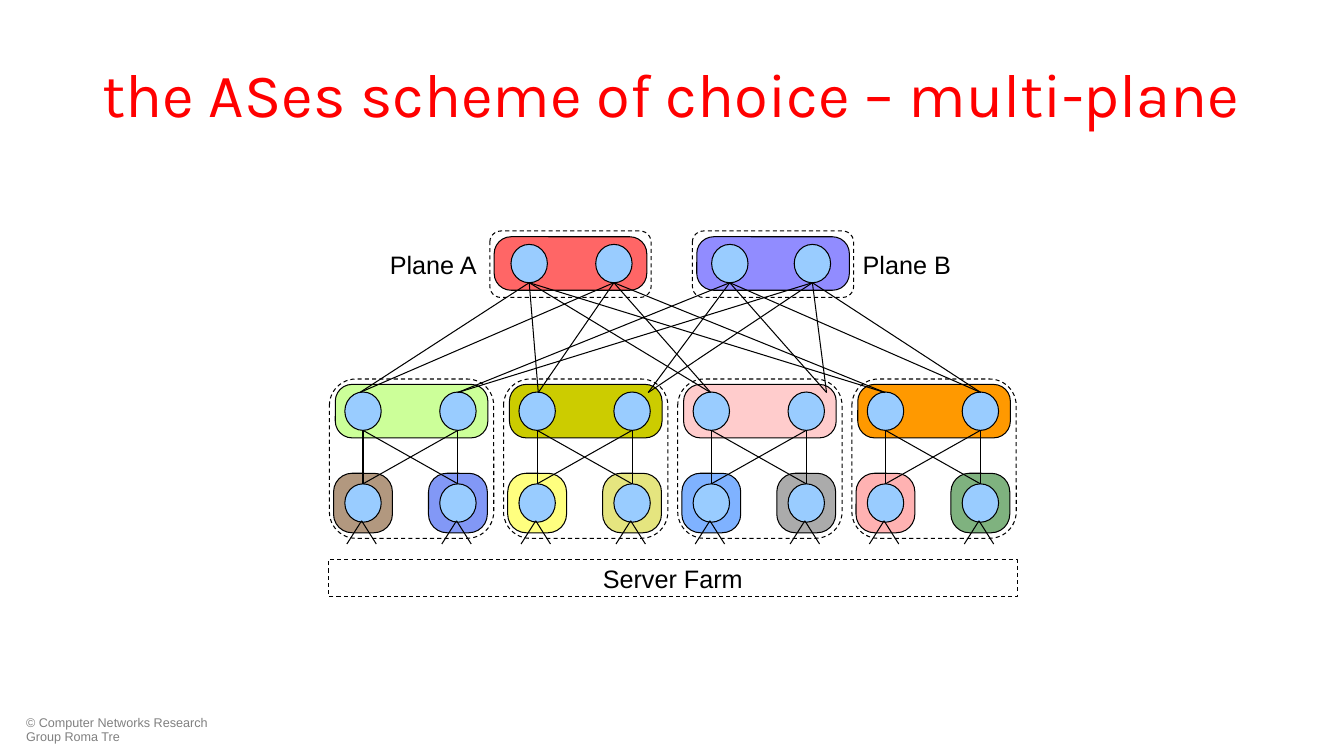
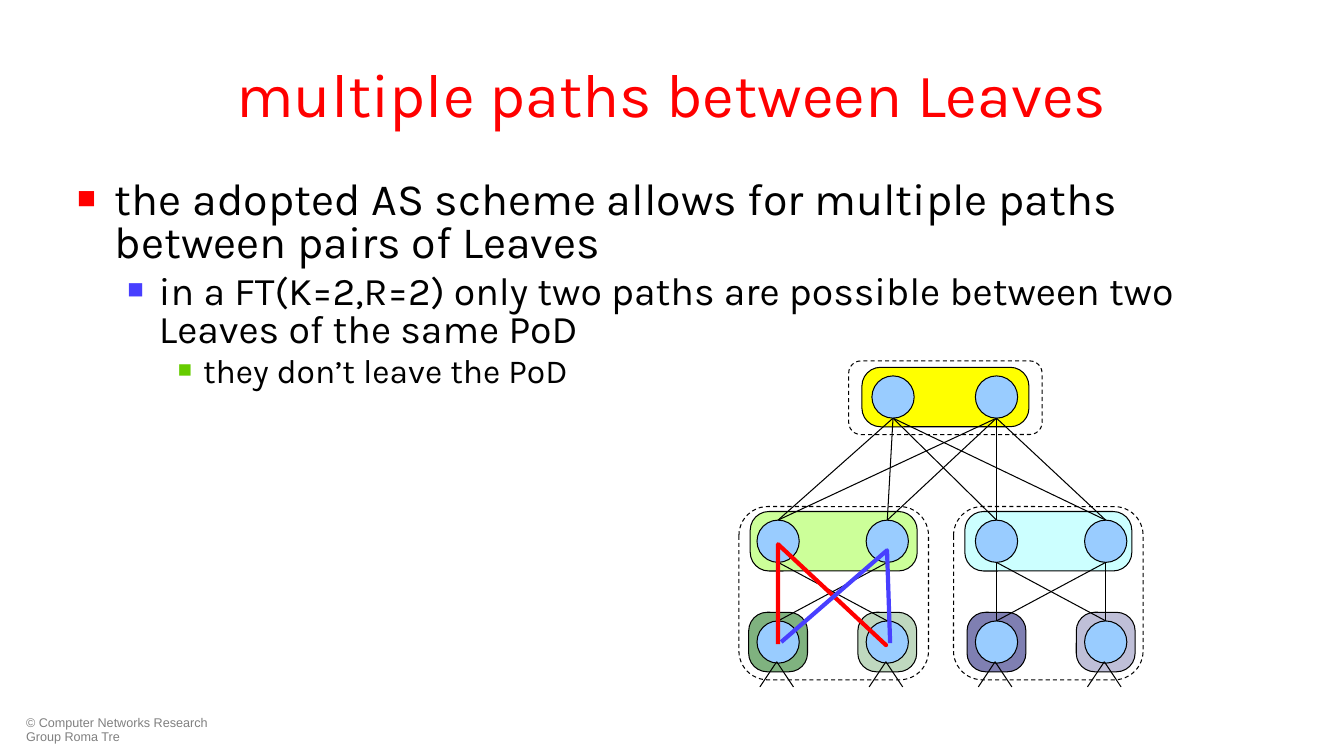
from dataclasses import dataclass
from itertools import pairwise, product

from lxml import etree
from pptx import Presentation
from pptx.dml import color
from pptx.enum import dml, shapes, text
from pptx.oxml import ns
from pptx.util import Pt

BLACK, RED, BLUE, GREEN, GREY = "000000", "FF0000", "483FFF", "66CC00", "808080"
NODE_FILL = "99CCFF"
ROUND, OVAL, RECT = (shapes.MSO_SHAPE.ROUNDED_RECTANGLE, shapes.MSO_SHAPE.OVAL,
                     shapes.MSO_SHAPE.RECTANGLE)
CENTER, MIDDLE = text.PP_ALIGN.CENTER, text.MSO_ANCHOR.MIDDLE
TILE_CORNER = 0.315


@dataclass
class Form:
    """Sizes and offsets shared by the pods of one diagram."""
    node: tuple
    tile: tuple
    leaf: tuple
    upper: float
    lower: float
    leg: tuple


def paint(value):
    """Turn a hex string into a colour."""
    return color.RGBColor.from_string(value)


def assign(target, values):
    """Set every attribute named in a dict."""
    for name, value in values.items():
        setattr(target, name, value)


def add_xml(parent, tag, **attributes):
    """Append a DrawingML element."""
    return etree.SubElement(parent, ns.qn(tag), attributes)


def centered(x, y, size):
    """Return the box of a given size around a centre."""
    return x - size[0] / 2, y - size[1] / 2, *size


def outline(shape, line=BLACK, width=0.75, dashed=False):
    """Give a shape its line and no shadow."""
    shape.shadow.inherit = False
    shape.line.color.rgb = paint(line)
    shape.line.width = Pt(width)
    if dashed:
        shape.line.dash_style = dml.MSO_LINE.DASH


def add_block(page, kind, box, fill=None, opacity=100, corner=None, dashed=False):
    """Draw an outlined preset shape."""
    shape = page.shapes.add_shape(kind, *map(Pt, box))
    outline(shape, dashed=dashed)
    if corner is not None:
        shape.adjustments[0] = corner
    if fill is None:
        shape.fill.background()
    else:
        shape.fill.solid()
        shape.fill.fore_color.rgb = paint(fill)
        if opacity < 100:
            solid = shape._element.spPr.find(ns.qn("a:solidFill"))
            add_xml(solid[0], "a:alpha", val=str(opacity * 1000))
    return shape


def add_link(page, start, end):
    """Draw a thin straight line."""
    line = page.shapes.add_connector(shapes.MSO_CONNECTOR.STRAIGHT, *map(Pt, (*start, *end)))
    line.line.color.rgb = paint(BLACK)
    line.line.width = Pt(0.75)
    add_xml(line._element.spPr, "a:effectLst")


def add_route(page, points, line):
    """Draw a thick open path through points."""
    first, *rest = [(Pt(x), Pt(y)) for x, y in points]
    builder = page.shapes.build_freeform(*first, scale=1.0)
    builder.add_line_segments(rest, close=False)
    shape = builder.convert_to_shape()
    shape.fill.background()
    outline(shape, line, 3)


def write(para, words, size, font="Arial", fill=BLACK, **layout):
    """Fill a paragraph with one styled span."""
    span = para.add_run()
    span.text = words
    assign(span.font, {"size": Pt(size), "name": font})
    span.font.color.rgb = paint(fill)
    assign(para, layout)


def add_label(page, box, words, size, anchor=text.MSO_ANCHOR.TOP, wrap=True, **style):
    """Add a text box of one paragraph."""
    frame = page.shapes.add_textbox(*map(Pt, box)).text_frame
    assign(frame, {"word_wrap": wrap, "vertical_anchor": anchor})
    write(frame.paragraphs[0], words, size, **style)


def add_page(deck, title):
    """Add a blank page with its footer and title."""
    page = deck.slides.add_slide(deck.slide_layouts[6])
    add_label(page, (11.5, 508.3, 166.3, 26), "© Computer Networks Research Group Roma Tre",
              9, fill=GREY, line_spacing=0.9)
    add_label(page, (48, 21.6, 864, 90), title, 44, MIDDLE,
              font="Karla", fill=RED, alignment=CENTER)
    return page


def add_bullets(page, box, items):
    """Write a list whose level follows the order of the items."""
    levels = [(32, RED, 27, 27), (28, BLUE, 58.5, 22.5), (24, GREEN, 90, 18)]
    frame = page.shapes.add_textbox(*map(Pt, box)).text_frame
    frame.word_wrap = True
    for index, (words, (size, mark, left, hang)) in enumerate(zip(items, levels)):
        para = frame.add_paragraph() if index else frame.paragraphs[0]
        write(para, words, size, "Karla", level=index, line_spacing=0.8,
              space_before=Pt(size * 0.2))
        props = para._p.get_or_add_pPr()
        props.set("marL", str(Pt(left)))
        props.set("indent", str(-Pt(hang)))
        add_xml(add_xml(props, "a:buClr"), "a:srgbClr", val=mark)
        add_xml(props, "a:buSzPct", val="70000")
        add_xml(props, "a:buFont", typeface="Arial")
        add_xml(props, "a:buChar", char="■")


def add_nodes(page, xs, y, size):
    """Draw a row of nodes."""
    for x in xs:
        add_block(page, OVAL, centered(x, y, size), NODE_FILL)


def add_pod(page, box, xs, form, fill, leaves):
    """Draw a pod: a tile of two nodes linked to two leaves, in a dashed frame."""
    left, top, width, _ = box
    upper, lower = top + form.upper, top + form.lower
    half = form.node[1] / 2
    reach, drop = form.leg
    add_block(page, ROUND, centered(left + width / 2, upper, form.tile), fill,
              corner=TILE_CORNER)
    for x, (leaf_fill, opacity) in zip(xs, leaves):
        add_block(page, ROUND, centered(x, lower, form.leaf), leaf_fill, opacity, TILE_CORNER)
    for y in (upper, lower):
        add_nodes(page, xs, y, form.node)
    for start, end in product(xs, xs):
        add_link(page, (start, lower - half), (end, upper + half))
    for x, side in product(xs, (-1, 1)):
        foot = lower + half - 1
        add_link(page, (x - 1, foot), (x - 1 + side * reach, foot + drop))
    add_block(page, ROUND, box, dashed=True)


def add_spine(page, box, xs, form, fill, targets, target_y):
    """Draw a plane of top nodes and its links down to the pods."""
    left, top, width, height = box
    y = top + height / 2 - 0.5
    add_block(page, ROUND, centered(left + width / 2, y, form.tile), fill, corner=TILE_CORNER)
    add_nodes(page, xs, y, form.node)
    for x, target in product(xs, targets):
        add_link(page, (x, y + form.node[1] / 2), (target, target_y))
    add_block(page, ROUND, box, dashed=True)


def build_planes(deck):
    """Build the page with two planes over four pods."""
    page = add_page(deck, "the ASes scheme of choice – multi-plane")
    form = Form((26, 27.4), (109, 38.2), (42, 42.5), 23, 88.6, (10.5, 16.6))
    pods = [("CCFF99", "663300", "0732EF"), ("CCCC00", "FFFF00", "CCCC00"),
            ("FFCCCC", "0066FF", "595959"), ("FF9900", "FF6666", "006600")]
    for index, (fill, *leaves) in enumerate(pods):
        left = 235.3 + index * 124.4
        add_pod(page, (left, 270.7, 117.4, 113.8), (left + 24, left + 91.8), form, fill,
                [(leaf, 50) for leaf in leaves])
    planes = [(349.9, (378, 438.5), "FF6666", (257, 384.5, 507.6, 632.2)),
              (494.6, (521.3, 580.3), "918CFF", (326.9, 463, 590.4, 700.6))]
    for left, xs, fill, targets in planes:
        add_spine(page, (left, 165, 115.2, 47.5), xs, form, fill, targets, 280.4)
    for left, words in ((271.4, "Plane A"), (609.1, "Plane B")):
        add_label(page, (left, 174.3, 78, 28.8), words, 18, wrap=False)
    farm = add_block(page, RECT, (234.7, 399.6, 491.8, 26.6), dashed=True)
    farm.text_frame.vertical_anchor = MIDDLE
    write(farm.text_frame.paragraphs[0], "Server Farm", 18, alignment=CENTER)


def build_paths(deck):
    """Build the page with the paths between two leaves of a pod."""
    page = add_page(deck, "multiple paths between Leaves")
    add_bullets(page, (48, 126, 864, 378), [
        "the adopted AS scheme allows for multiple paths between pairs of Leaves",
        "in a FT(K=2,R=2) only two paths are possible between two Leaves of the same PoD",
        "they don’t leave the PoD"])
    form = Form((30.2, 30.2), (119.3, 42.5), (42, 42.5), 24.8, 96.8, (12, 18))
    columns = [555.8 + index * 78 for index in range(4)]
    pods = [(527.8, columns[:2], "CCFF99", "006600"), (681.1, columns[2:], "CCFFFF", "000066")]
    for left, xs, fill, leaf in pods:
        add_pod(page, (left, 361.8, 135.4, 123.8), xs, form, fill, [(leaf, 50), (leaf, 25)])
    add_spine(page, (606.2, 257.8, 138.2, 52.6), (637.9, columns[2]), form, "FFFF00",
              columns, 371.5)
    add_route(page, [(555.8, 460.1), (555.8, 388.8), (632.9, 460.8), (632.2, 460.1)], RED)
    add_route(page, [(558, 458.6), (633.6, 393.1), (635.8, 459.4)], BLUE)


def main():
    """Build and save the deck."""
    deck = Presentation()
    assign(deck, {"slide_width": Pt(960), "slide_height": Pt(540)})
    build_planes(deck)
    build_paths(deck)
    deck.save("out.pptx")


main()
